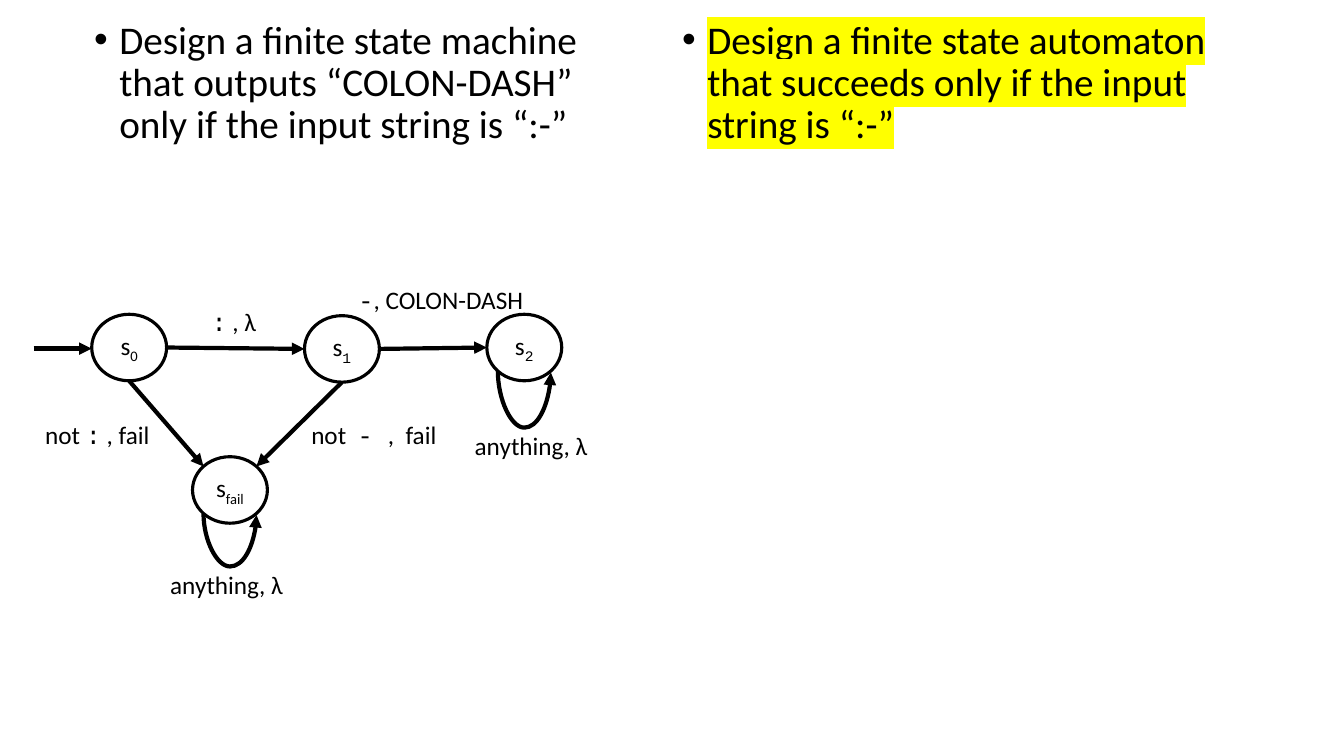
from dataclasses import dataclass
from math import cos, radians, sin

from lxml.etree import SubElement
from pptx import Presentation
from pptx.dml.color import RGBColor
from pptx.enum.shapes import MSO_CONNECTOR as Connector, MSO_SHAPE as Shape
from pptx.enum.text import MSO_ANCHOR as Anchor, MSO_AUTO_SIZE as AutoSize, PP_ALIGN as Align
from pptx.oxml.ns import qn
from pptx.util import Pt


@dataclass(frozen=True)
class Theme:
    ink: RGBColor = RGBColor(0, 0, 0)
    marker: str = "FFFF00"
    sans: str = "Calibri"
    mono: str = "Courier New"
    body_size: int = 28
    label_size: int = 18
    outline: float = 2.25
    arrow: float = 3


@dataclass(frozen=True)
class State:
    left: float
    top: float
    runs: tuple
    width: float = 53.5
    height: float = 47.5

    def point(self, angle):
        turn = radians(angle)
        return (self.left + self.width / 2 * (1 + cos(turn)),
                self.top + self.height / 2 * (1 + sin(turn)))


def apply_format(target, values):
    for name, value in values.items():
        setattr(target, name, value)


class MachineSlide:
    def __init__(self, presentation, theme):
        self.theme = theme
        self.slide = presentation.slides.add_slide(presentation.slide_layouts[3])
        title = self.slide.shapes.title
        title.element.getparent().remove(title.element)

    def add_run(self, paragraph, text, size, mono=False, subscript=False):
        run = paragraph.add_run()
        run.text = text
        apply_format(run.font, {
            "name": self.theme.mono if mono else self.theme.sans, "size": Pt(size)})
        run.font.color.rgb = self.theme.ink
        if subscript:
            run.font._element.set("baseline", "-25000")
        return run

    def task(self, index, left, text, highlighted=False):
        placeholder = self.slide.placeholders[index]
        apply_format(placeholder, {
            "left": Pt(left), "top": Pt(10.8), "width": Pt(408), "height": Pt(342.7)})
        apply_format(placeholder.text_frame, {
            "word_wrap": True, "auto_size": AutoSize.NONE, "vertical_anchor": Anchor.TOP})
        paragraph = placeholder.text_frame.paragraphs[0]
        apply_format(paragraph, {
            "line_spacing": 0.9, "space_before": Pt(0), "alignment": Align.LEFT})
        properties = paragraph._p.get_or_add_pPr()
        properties.set("marL", str(Pt(18)))
        properties.set("indent", str(Pt(-18)))
        SubElement(properties, qn("a:buFont"), typeface="Arial")
        SubElement(properties, qn("a:buChar"), char="•")
        run = self.add_run(paragraph, text, self.theme.body_size)
        if highlighted:
            run_properties = run.font._element
            highlight = SubElement(run_properties, qn("a:highlight"))
            SubElement(highlight, qn("a:srgbClr"), val=self.theme.marker)
            run_properties.find(qn("a:latin")).addprevious(highlight)

    def state(self, state):
        shape = self.slide.shapes.add_shape(
            Shape.OVAL, Pt(state.left), Pt(state.top), Pt(state.width), Pt(state.height))
        shape.shadow.inherit = False
        shape.fill.background()
        shape.line.color.rgb = self.theme.ink
        shape.line.width = Pt(self.theme.outline)
        apply_format(shape.text_frame, {"word_wrap": False, "vertical_anchor": Anchor.MIDDLE})
        paragraph = shape.text_frame.paragraphs[0]
        paragraph.alignment = Align.CENTER
        for run in state.runs:
            self.add_run(paragraph, run[0], self.theme.label_size, *run[1:])

    def label(self, left, top, width, *runs):
        box = self.slide.shapes.add_textbox(Pt(left), Pt(top), Pt(width), Pt(29))
        box.text_frame.word_wrap = True
        paragraph = box.text_frame.paragraphs[0]
        for run in runs:
            self.add_run(paragraph, run[0], self.theme.label_size, *run[1:])

    def arrow(self, start, end, kind=Connector.STRAIGHT):
        connector = self.slide.shapes.add_connector(
            kind, *(Pt(value) for value in (*start, *end)))
        connector.line.color.rgb = self.theme.ink
        connector.line.width = Pt(self.theme.arrow)
        SubElement(connector.line._get_or_add_ln(), qn("a:tailEnd"), type="triangle")
        SubElement(connector._element.spPr, qn("a:effectLst"))
        return connector

    def loop(self, state, depth):
        left, top = state.point(135)
        right, _ = state.point(45)
        middle, half = (left + right) / 2, (right - left) / 2
        connector = self.arrow((middle + 0.5, top + 0.5 - half),
                               (middle - 0.5, top + 0.5 + half), Connector.CURVE)
        properties = connector._element.spPr
        properties.find(qn("a:xfrm")).set("rot", str(270 * 60000))
        geometry = properties.find(qn("a:prstGeom"))
        adjustments = geometry.find(qn("a:avLst"))
        if adjustments is None:
            adjustments = SubElement(geometry, qn("a:avLst"))
        SubElement(adjustments, qn("a:gd"), name="adj1", fmla=f"val {round(depth * 100000)}")


def main():
    presentation = Presentation()
    presentation.slide_width, presentation.slide_height = Pt(960), Pt(540)
    machine = MachineSlide(presentation, Theme())

    machine.task(1, 60, "Design a finite state machine that outputs “COLON-DASH” "
                        "only if the input string is “:-”")
    machine.task(2, 480, "Design a finite state automaton that succeeds "
                         "only if the input string is “:-”", highlighted=True)

    first = State(65.5, 224.5, (("s",), ("0", False, True)))
    second = State(217.5, 225.5, (("s",), ("1", True, True)))
    accepted = State(347.75, 224.5, (("s",), ("2", True, True)))
    failed = State(137.5, 326.25, (("s",), ("fail", False, True)))
    for state in (first, second, accepted, failed):
        machine.state(state)

    machine.arrow((24, 249), (65.5, 249))
    for source, source_angle, target, target_angle in (
            (first, 0, second, 180), (second, 0, accepted, 180),
            (first, 90, failed, 225), (second, 90, failed, 315)):
        machine.arrow(source.point(source_angle), target.point(target_angle))
    machine.loop(failed, 38.13)
    machine.loop(accepted, 40.77)

    machine.label(249, 199.5, 215.25, ("-", True), (", COLON-DASH",))
    machine.label(144, 215.25, 106, (":", True), (" , λ",))
    machine.label(215.25, 296, 150.5, ("not  ",), ("- ", True), (",  fail",))
    machine.label(25.25, 296, 99.5, ("not ",), (":", True), (" , fail",))
    for left, top in ((114.5, 403.25), (332, 303.75)):
        machine.label(left, top, 99.5, ("anything, λ",))

    presentation.save("out.pptx")


if __name__ == "__main__":
    main()
